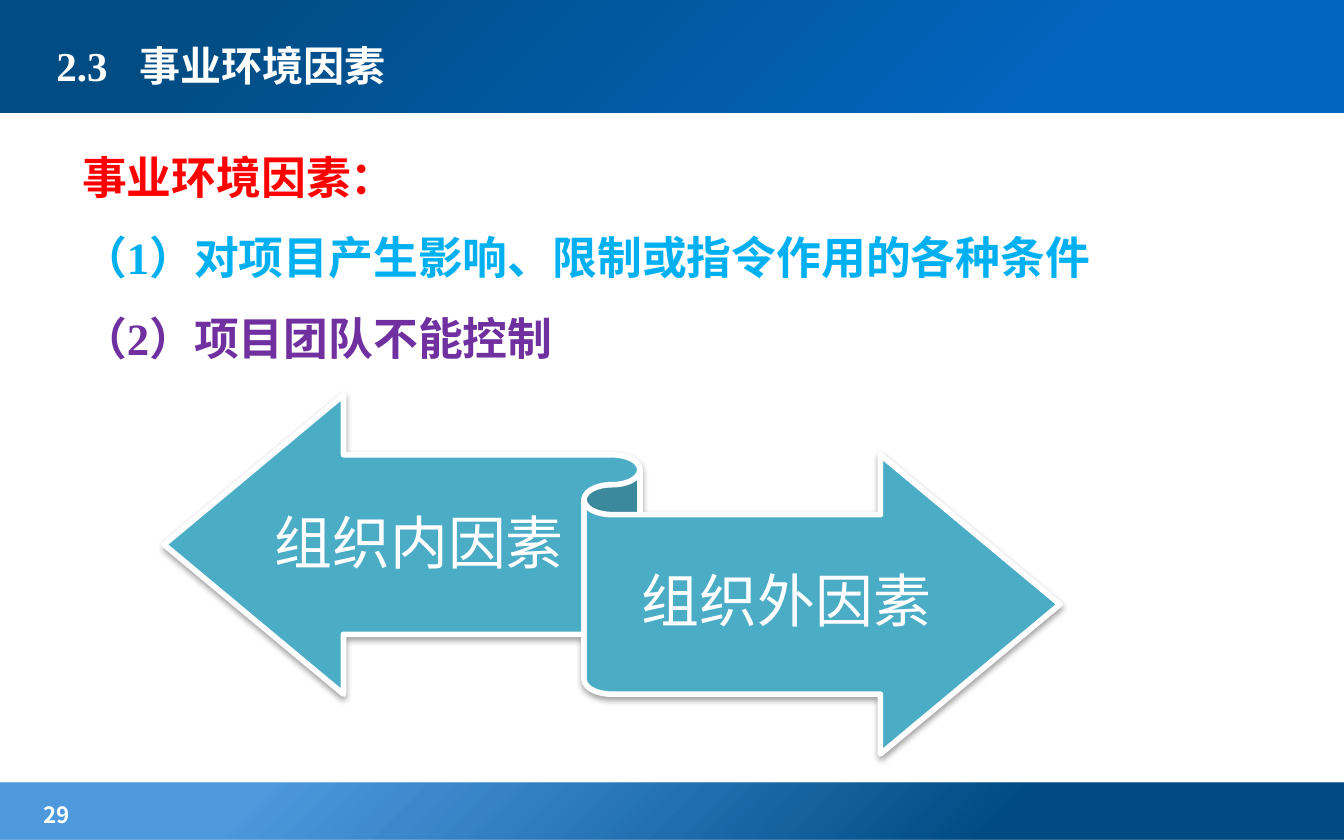
from lxml.etree import SubElement
from pptx import Presentation
from pptx.dml.color import RGBColor
from pptx.enum.shapes import MSO_SHAPE
from pptx.enum.text import MSO_ANCHOR, MSO_AUTO_SIZE, PP_ALIGN
from pptx.oxml import parse_xml
from pptx.oxml.ns import nsdecls, qn
from pptx.util import Pt

SCALE = 914400 / 134.4
CHINESE_FONT = "Noto Sans CJK SC"
SERIF_FONT = "Times New Roman"


def px(length):
    return round(length * SCALE)


def place(box):
    return [px(length) for length in box]


def color(value):
    return RGBColor.from_string(value)


def format_paragraph(paragraph, font_name, size, value, bold=True):
    for run in paragraph.runs:
        run.font.name = font_name
        run.font.size = Pt(size)
        run.font.bold = bold
        run.font.color.rgb = color(value)
        SubElement(run.font._element, qn("a:ea")).set("typeface", CHINESE_FONT)


def add_band(slide, box, stops):
    band = slide.shapes.add_shape(MSO_SHAPE.RECTANGLE, *place(box))
    band.shadow.inherit = False
    band.line.fill.background()
    stop_xml = "".join(
        f'<a:gs pos="{position * 1000}"><a:srgbClr val="{value}">'
        f'<a:alpha val="{opacity * 1000}"/></a:srgbClr></a:gs>'
        for position, value, opacity in stops
    )
    gradient = parse_xml(
        f'<a:gradFill {nsdecls("a")} rotWithShape="1"><a:gsLst>{stop_xml}</a:gsLst>'
        '<a:path path="circle"><a:fillToRect l="100000" t="100000"/></a:path>'
        '<a:tileRect r="-100000" b="-100000"/></a:gradFill>'
    )
    band._element.spPr.find(qn("a:prstGeom")).addnext(gradient)
    return band


def add_text_box(shapes, box, lines):
    text_box = shapes.add_textbox(*place(box))
    text_frame = text_box.text_frame
    text_frame.word_wrap = True
    text_frame.text = "\n".join(lines)
    return text_frame


def add_header(slide, box, number, heading):
    left, top, width, height = box
    band = add_band(slide, box, [(21, "0265BF", 100), (86, "014C83", 100)])
    title = slide.shapes.title
    title.left, title.top, title.width, title.height = place(
        (left + 43, top + 21, 978, height - 21)
    )
    band._element.addnext(title._element)
    text_frame = title.text_frame
    text_frame.text = f"{number}\t{heading}"
    text_frame.auto_size = MSO_AUTO_SIZE.NONE
    text_frame.vertical_anchor = MSO_ANCHOR.MIDDLE
    paragraph = text_frame.paragraphs[0]
    paragraph.alignment = PP_ALIGN.LEFT
    tabs = SubElement(paragraph._p.get_or_add_pPr(), qn("a:tabLst"))
    SubElement(tabs, qn("a:tab"), pos=str(px(83)), algn="l")
    format_paragraph(paragraph, SERIF_FONT, 22, "FFFFFF")


def add_footer(slide, box, page):
    left, top, width, height = box
    add_band(slide, box, [(26, "014C83", 100), (80, "026DCE", 70)])
    text_frame = add_text_box(slide.shapes, (left + 30, top + 11, 208, 35), [page])
    format_paragraph(text_frame.paragraphs[0], CHINESE_FONT, 12, "FFFFFF")


def add_body(slide, box, lines):
    text_frame = add_text_box(slide.shapes, box, [text for text, value in lines])
    for paragraph, (text, value) in zip(text_frame.paragraphs, lines):
        paragraph.line_spacing = 1.5
        format_paragraph(paragraph, SERIF_FONT, 24, value)


def add_ribbon(slide, box, labels):
    left, top, width, height = box
    group = slide.shapes.add_group_shape()
    ribbon = group.shapes.add_shape(MSO_SHAPE.LEFT_RIGHT_RIBBON, *place(box))
    ribbon.fill.solid()
    ribbon.fill.fore_color.rgb = color("4BACC6")
    ribbon.line.color.rgb = color("FFFFFF")
    ribbon.line.width = Pt(3)
    ribbon._element.spPr.append(parse_xml(
        f'<a:effectLst {nsdecls("a")}><a:outerShdw blurRad="40000" dist="20000" '
        'dir="5400000" rotWithShape="0"><a:srgbClr val="000000">'
        '<a:alpha val="38000"/></a:srgbClr></a:outerShdw></a:effectLst>'
    ))
    for text, offset_x, offset_y, label_width in labels:
        label_box = (left + offset_x, top + offset_y, label_width, 176)
        text_frame = add_text_box(group.shapes, label_box, [text])
        text_frame.margin_left = text_frame.margin_right = 0
        text_frame.margin_top, text_frame.margin_bottom = px(16), px(17)
        text_frame.vertical_anchor = MSO_ANCHOR.MIDDLE
        paragraph = text_frame.paragraphs[0]
        paragraph.alignment = PP_ALIGN.CENTER
        paragraph.line_spacing = 0.9
        format_paragraph(paragraph, "Lato", 31, "FFFFFF", bold=False)


def main():
    presentation = Presentation()
    presentation.slide_width, presentation.slide_height = px(1344), px(840)
    slide = presentation.slides.add_slide(presentation.slide_layouts[5])
    add_header(slide, (0, -4, 1344, 117), "2.3", "事业环境因素")
    add_footer(slide, (0, 783, 1344, 57), "29")
    add_body(slide, (69, 116, 1259, 524), [
        ("事业环境因素：", "FF0000"),
        ("（1）对项目产生影响、限制或指令作用的各种条件", "00B0F0"),
        ("（2）项目团队不能控制", "7030A0"),
    ])
    add_ribbon(slide, (164, 395, 896, 359), [
        ("组织内因素", 107, 63, 296),
        ("组织外因素", 448, 121, 349),
    ])
    presentation.save("out.pptx")


if __name__ == "__main__":
    main()
